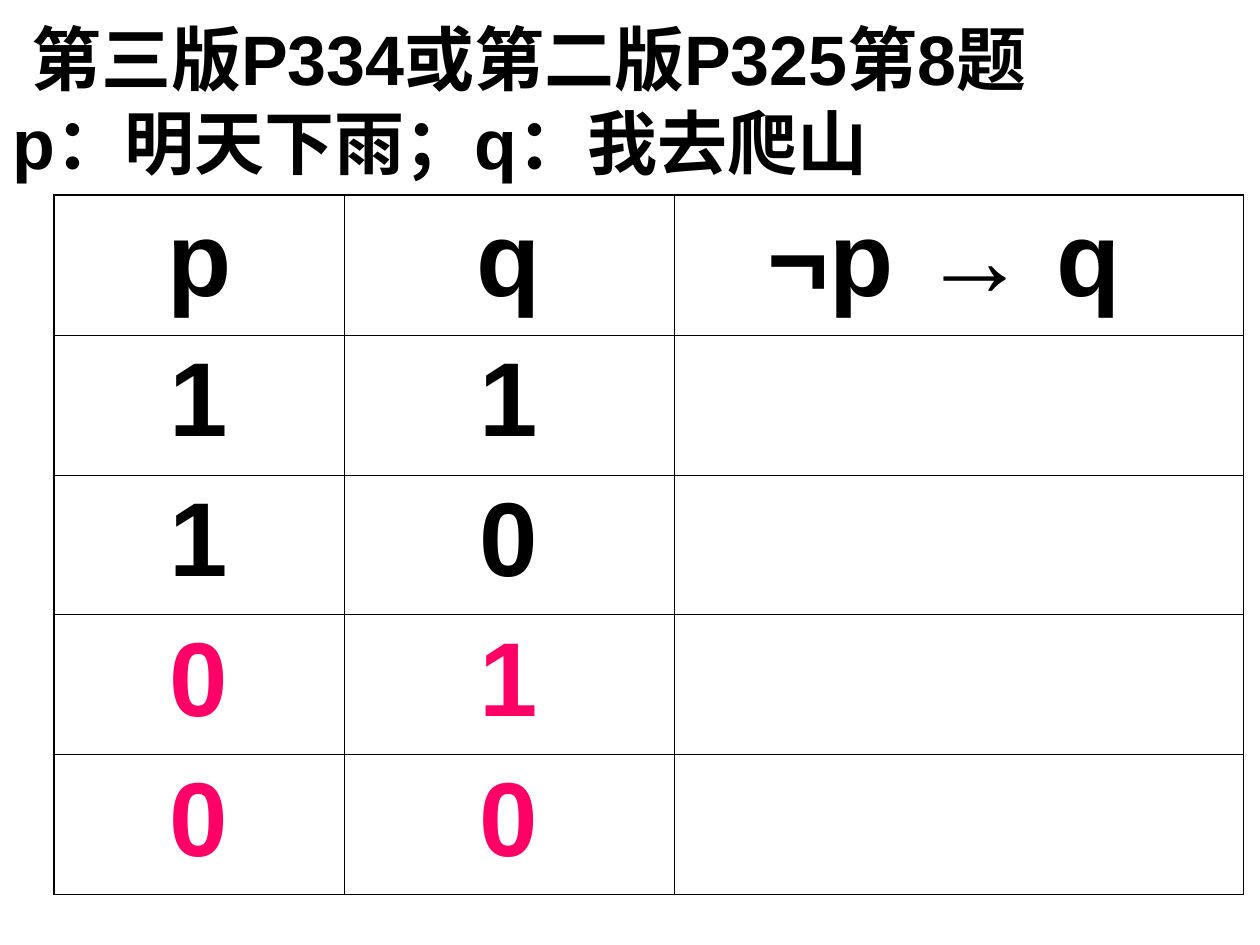
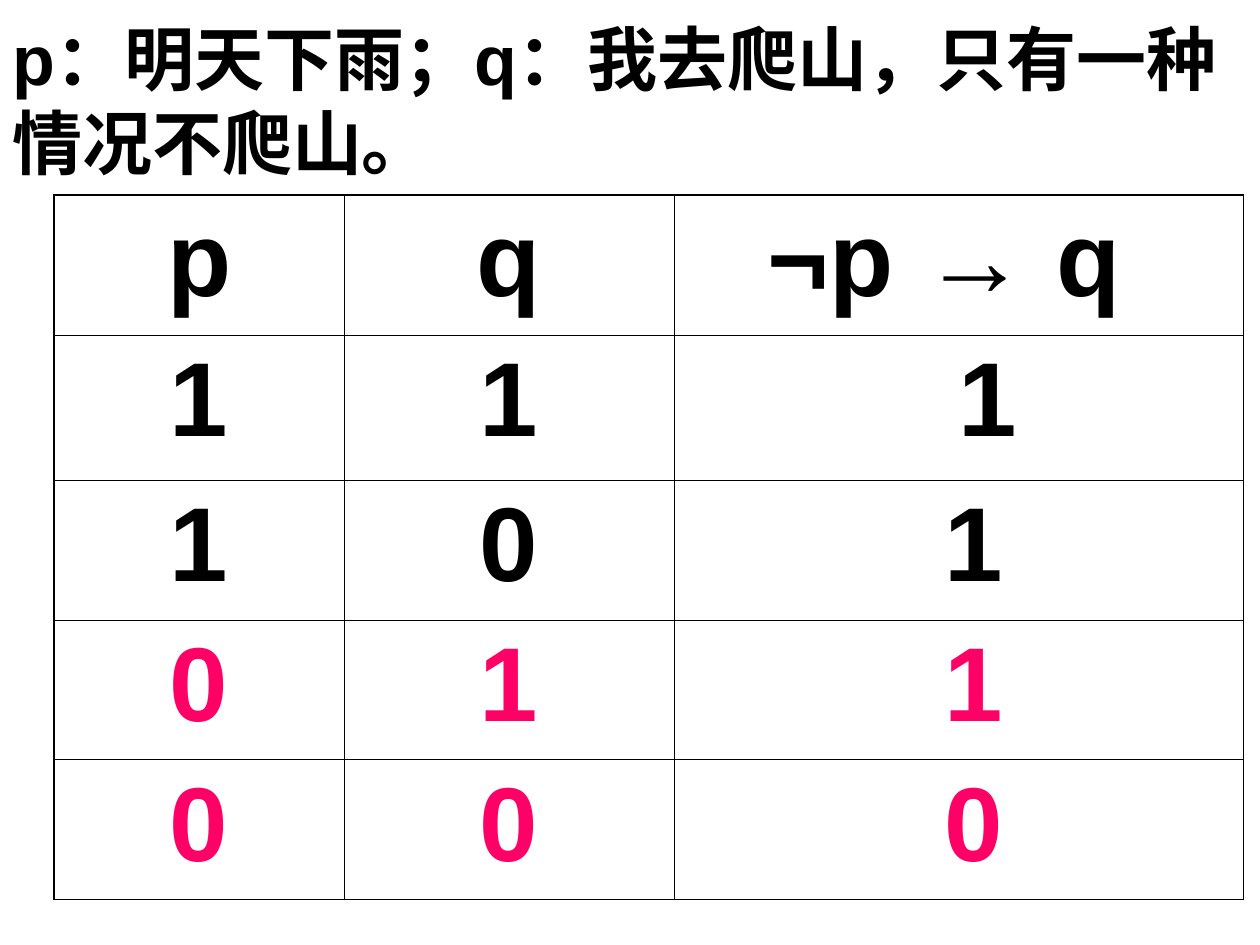
from lxml import etree
from pptx import Presentation
from pptx.dml.color import RGBColor
from pptx.enum.lang import MSO_LANGUAGE_ID
from pptx.enum.text import MSO_ANCHOR, PP_ALIGN
from pptx.oxml.ns import qn
from pptx.util import Inches, Pt

CHINESE = MSO_LANGUAGE_ID.SIMPLIFIED_CHINESE
MIDDLE = MSO_ANCHOR.MIDDLE
CENTER = PP_ALIGN.CENTER

FONT = "Arial"
BLACK, PINK = "000000", "FF0066"
TITLE_BOX = (0, 0.28, 9.8, 1.02)
TABLE_ORIGIN = (0.43, 1.55)
COLUMN_WIDTHS = (2.3, 2.62, 4.52)
ROW_HEIGHT = 1.11
OUTER_LINE, INNER_LINE = 1.08, 0.45
SIDE_MARGIN = 0.1
NUDGE = 0.23  # extra margin that shifts a centred entry sideways

HEADERS = ("p", "q", "¬p → q")
INPUTS = (("1", "1"), ("1", "0"), ("0", "1"), ("0", "0"))


def rgb(color):
    return RGBColor.from_string(color)


def add_span(para, text, size, color=BLACK):
    span = para.add_run()
    span.text = text
    font = span.font
    font.name, font.size, font.bold = FONT, Pt(size), True
    font.color.rgb = rgb(color)
    font.language_id = CHINESE


def add_title(page, box, lines, first_indent=0):
    frame = page.shapes.add_textbox(*map(Inches, box)).text_frame
    frame.word_wrap = True
    frame.vertical_anchor = MIDDLE
    para = frame.paragraphs[0]
    para._p.get_or_add_pPr().set("indent", str(Inches(first_indent)))
    for number, line in enumerate(lines):
        if number:
            para.add_line_break()
        add_span(para, line, 40)


def set_borders(cell, widths):
    """Draw the left, right, top and bottom borders, with widths in points."""
    properties = cell._tc.get_or_add_tcPr()
    for position, (side, width) in enumerate(zip("LRTB", widths)):
        line = etree.Element(qn(f"a:ln{side}"), w=str(Pt(width)))
        fill = etree.SubElement(line, qn("a:solidFill"))
        etree.SubElement(fill, qn("a:srgbClr"), val=BLACK)
        properties.insert(position, line)


def fill_cell(cell, text, color, left_nudge, right_nudge):
    cell.margin_left = Inches(SIDE_MARGIN + left_nudge)
    cell.margin_right = Inches(SIDE_MARGIN + right_nudge)
    para = cell.text_frame.paragraphs[0]
    para.alignment = CENTER
    if text:
        add_span(para, text, 60, color)


def add_truth_table(page, origin, results, row_heights):
    rows = [HEADERS] + [(*pair, result) for pair, result in zip(INPUTS, results)]
    size = (sum(COLUMN_WIDTHS), sum(row_heights))
    last_row, last_column = len(rows) - 1, len(HEADERS) - 1
    frame = page.shapes.add_table(len(rows), len(HEADERS), *map(Inches, origin + size))
    table = frame.table
    table.first_row = table.horz_banding = False
    for column, width in zip(table.columns, COLUMN_WIDTHS):
        column.width = Inches(width)
    for r, (row, height) in enumerate(zip(rows, row_heights)):
        table.rows[r].height = Inches(height)
        color = PINK if row[0] == "0" else BLACK
        for c, text in enumerate(row):
            cell = table.cell(r, c)
            cell.fill.background()
            left = right = 0
            if c == last_column:
                left = (0, 2 * NUDGE, NUDGE, NUDGE, NUDGE)[r]
                right = 0 if r else NUDGE
            fill_cell(cell, text, color, left, right)
            on_edge = (c == 0, c == last_column, r == 0, r == last_row)
            set_borders(cell, [OUTER_LINE if edge else INNER_LINE for edge in on_edge])


def add_exercise(deck, title_lines, results, first_indent=0, first_value_height=ROW_HEIGHT):
    page = deck.slides.add_slide(deck.slide_layouts[6])
    add_title(page, TITLE_BOX, title_lines, first_indent)
    heights = [ROW_HEIGHT, first_value_height] + [ROW_HEIGHT] * 3
    add_truth_table(page, TABLE_ORIGIN, results, heights)


def main():
    deck = Presentation()
    deck.slide_width, deck.slide_height = Inches(10), Inches(7.5)
    add_exercise(deck, ("第三版P334或第二版P325第8题", "p：明天下雨；q：我去爬山"),
                 ("", "", "", ""), first_indent=0.15)
    add_exercise(deck, ("p：明天下雨；q：我去爬山，只有一种情况不爬山。",),
                 ("1", "1", "1", "0"), first_value_height=1.15)
    deck.save("out.pptx")


if __name__ == "__main__":
    main()
